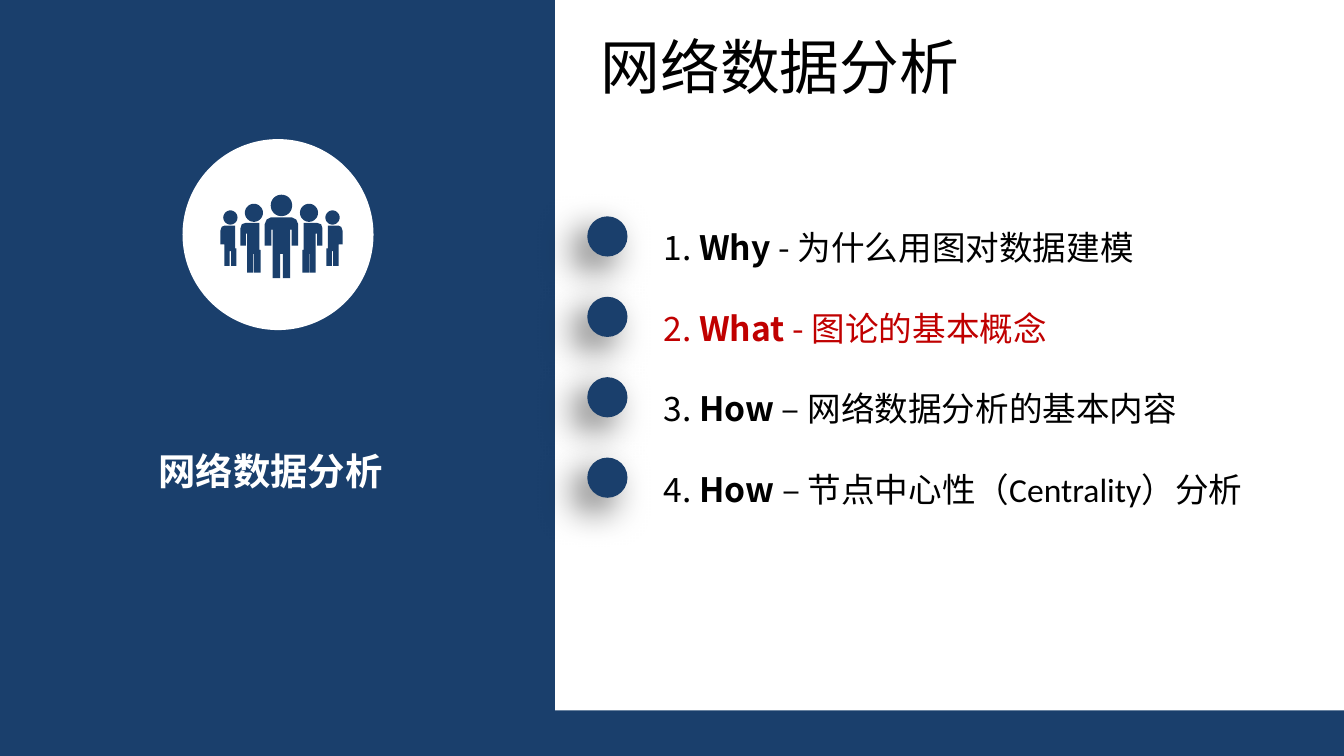
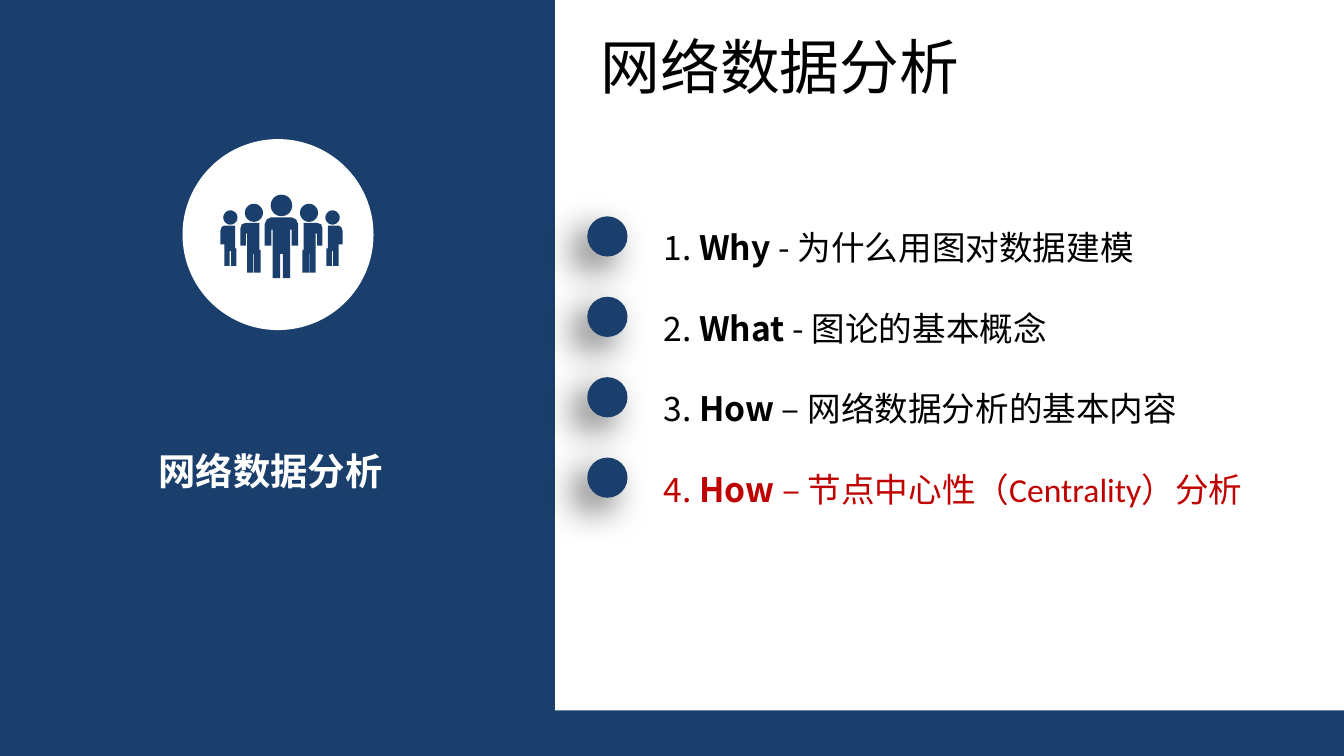
from dataclasses import dataclass
from math import cos, sin, tau

from lxml.etree import SubElement
from pptx import Presentation
from pptx.dml.color import RGBColor
from pptx.enum.shapes import MSO_SHAPE as Preset
from pptx.enum.text import MSO_ANCHOR as Anchor, MSO_AUTO_SIZE as AutoSize, PP_ALIGN as Align
from pptx.oxml.ns import qn
from pptx.util import Cm, Pt


@dataclass(frozen=True)
class Theme:
    navy: RGBColor = RGBColor(0x1A, 0x3F, 0x6C)
    white: RGBColor = RGBColor(0xFF, 0xFF, 0xFF)
    black: RGBColor = RGBColor(0, 0, 0)
    accent: RGBColor = RGBColor(0xC0, 0, 0)
    font: str = "Noto Sans CJK SC"
    latin_font: str = "Calibri"
    title_size: Pt = Pt(32)
    caption_size: Pt = Pt(20)
    list_size: Pt = Pt(18)


TOPIC = "网络数据分析"

# Number, bold keyword, rest of the entry split into spans (Latin words apart)
AGENDA = [
    ("1. ", "Why ", ["- 为什么用图对数据建模"]),
    ("2. ", "What ", ["- 图论的基本概念"]),
    ("3. ", "How", [" – 网络数据分析的基本内容"]),
    ("4. ", "How ", ["– 节点中心性（", "Centrality", "）分析"]),
]
ACTIVE_ENTRIES = [2, 4]

# Crowd icon: x from its axis and y from its top, in hundredths of 2.54 cm
LEADER_HEAD = (0, 8, 8)
LEADER_RIGHT_HALF = [
    (0, 17), (8, 17), (11, 18.5), (12.5, 22), (12.5, 38), (7.5, 38), (7.5, 26),
    (6.5, 26), (6.5, 62), (1, 62), (1, 44), (0, 44),
]
LEFT_HEADS = [(-20.5, 13.5, 6.7), (-38, 17, 5.3)]
LEFT_BODIES = [
    [(-15.5, 41), (-15.5, 58), (-20.5, 58), (-20.5, 44), (-21, 44), (-21, 58),
     (-25.5, 58), (-25.5, 29), (-26.5, 29), (-26.5, 38), (-30.5, 38),
     (-30.5, 25), (-29.5, 22), (-26.5, 21), (-16.5, 21), (-16.5, 41)],
    [(-33.5, 40), (-33.5, 53), (-37.5, 53), (-37.5, 42), (-38.5, 42),
     (-38.5, 53), (-42.5, 53), (-42.5, 37), (-45.5, 37), (-45.5, 27),
     (-44.5, 24), (-42.5, 23), (-34.5, 23), (-34.5, 40)],
]


def mirror(points):
    return [(-x, y) for x, y in reversed(points)]


def circle(x, y, radius, steps=32):
    angles = [tau * step / steps for step in range(steps)]
    return [(x + radius * cos(angle), y + radius * sin(angle)) for angle in angles]


def crowd_outlines():
    left = [circle(*head) for head in LEFT_HEADS] + LEFT_BODIES
    leader = LEADER_RIGHT_HALF + mirror(LEADER_RIGHT_HALF)
    return [circle(*LEADER_HEAD), leader] + left + [mirror(part) for part in left]


class AgendaDeck:
    def __init__(self, theme):
        self.theme = theme
        self.deck = Presentation()
        self.deck.slide_width, self.deck.slide_height = Cm(25.4), Cm(14.29)
        self.page = None

    def new_page(self):
        self.page = self.deck.slides.add_slide(self.deck.slide_layouts[1])

    def paint(self, shape, color):
        shape.shadow.inherit = False
        shape.fill.solid()
        shape.fill.fore_color.rgb = color
        shape.line.fill.background()
        return shape

    def shape(self, preset, left, top, width, height, color):
        area = (Cm(left), Cm(top), Cm(width), Cm(height))
        return self.paint(self.page.shapes.add_shape(preset, *area), color)

    def place(self, box, left, top, width, height, wrap=True):
        box.left, box.top, box.width, box.height = Cm(left), Cm(top), Cm(width), Cm(height)
        frame = box.text_frame
        frame.word_wrap = wrap
        frame.auto_size = AutoSize.SHAPE_TO_FIT_TEXT
        frame.vertical_anchor = Anchor.TOP
        return frame

    def style(self, para, size, color, align=Align.LEFT, bold=False):
        para.alignment = align
        font = para.font
        font.name, font.size, font.bold = self.theme.font, size, bold
        font.color.rgb = color
        east_asian = SubElement(font._element, qn("a:ea"))
        east_asian.set("typeface", self.theme.font)

    def title(self, text):
        frame = self.place(self.page.shapes.title, 11.1, 0.43, 7.34, 1.63, wrap=False)
        frame.text = text
        self.style(frame.paragraphs[0], self.theme.title_size, self.theme.black)

    def caption(self, text):
        box = self.page.shapes.add_textbox(0, 0, 0, 0)
        frame = self.place(box, 1.37, 8.48, 7.49, 0.86)
        frame.margin_left = frame.margin_right = frame.margin_top = frame.margin_bottom = 0
        frame.text = text
        self.style(frame.paragraphs[0], self.theme.caption_size, self.theme.white,
                   Align.CENTER, bold=True)

    def agenda(self, entries, active):
        frame = self.place(self.page.placeholders[1], 12.29, 3.4, 12.83, 6.4)
        for index, (number, keyword, rest) in enumerate(entries):
            para = frame.add_paragraph() if index else frame.paragraphs[0]
            para.line_spacing = 2.0
            para.space_before = Pt(0)
            properties = para._p.get_or_add_pPr()
            properties.set("marL", "0")
            properties.set("indent", "0")
            SubElement(properties, qn("a:buNone"))
            color = self.theme.accent if number == f"{active}. " else self.theme.black
            self.style(para, self.theme.list_size, color)
            for text in (number, keyword, *rest):
                span = para.add_run()
                span.text = text
                if text == keyword:
                    span.font.bold = True
                elif text.isascii() and text.isalpha():
                    span.font.name = self.theme.latin_font

    def marker(self, left, top):
        dot = self.shape(Preset.OVAL, left, top, 0.76, 0.76, self.theme.navy)
        effects = dot._element.spPr.find(qn("a:effectLst"))
        shadow = SubElement(effects, qn("a:outerShdw"), blurRad=str(Pt(20)),
                            dist=str(Pt(10)), dir=str(135 * 60000), rotWithShape="0")
        black = SubElement(shadow, qn("a:srgbClr"), val=str(self.theme.black))
        SubElement(black, qn("a:alpha"), val="60000")

    def crowd_icon(self, axis, top):
        # Ten drawing units per icon unit keep the rounding fine
        builder = None
        for outline in crowd_outlines():
            points = [(x * 10, y * 10) for x, y in outline]
            if builder is None:
                builder = self.page.shapes.build_freeform(*points[0], scale=Cm(2.54) / 1000)
            else:
                builder.move_to(*points[0])
            builder.add_line_segments(points[1:], close=True)
        self.paint(builder.convert_to_shape(Cm(axis), Cm(top)), self.theme.navy)

    def frame_bands(self):
        self.shape(Preset.RECTANGLE, 0, 13.43, 25.4, 0.86, self.theme.navy)
        self.shape(Preset.RECTANGLE, 0, 0, 10.49, 14.29, self.theme.navy)

    def agenda_page(self, active):
        self.new_page()
        self.frame_bands()
        self.title(TOPIC)
        # Left panel
        self.caption(TOPIC)
        self.shape(Preset.OVAL, 3.45, 2.63, 3.61, 3.61, self.theme.white)
        self.crowd_icon(5.32, 3.68)
        # Entries with their markers
        self.agenda(AGENDA, active)
        for row in range(len(AGENDA)):
            self.marker(11.1, 4.09 + 1.52 * row)


def main():
    slides = AgendaDeck(Theme())
    for active in ACTIVE_ENTRIES:
        slides.agenda_page(active)
    slides.deck.save("out.pptx")


if __name__ == "__main__":
    main()
